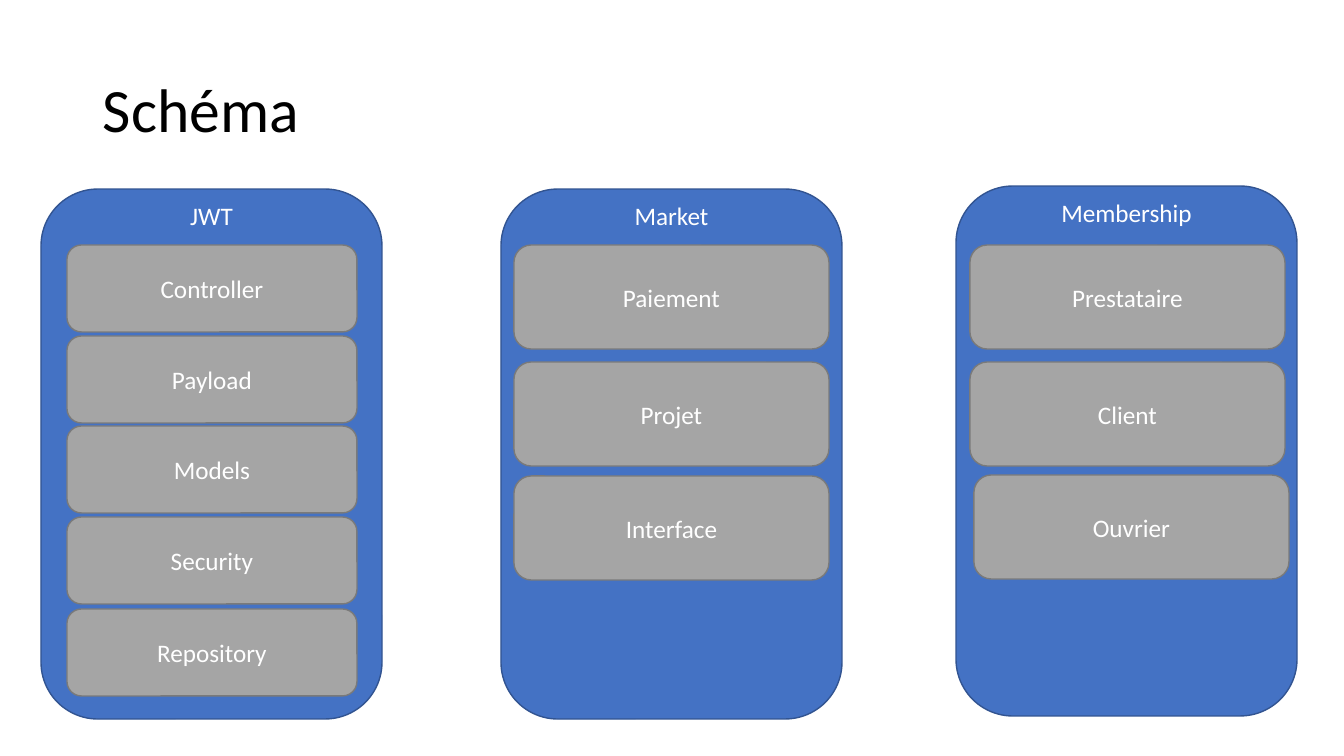
import pptx
import pptx.dml.color
import pptx.enum.shapes
import pptx.enum.text
import pptx.util

EMU_PER_PIXEL = 914400 / 100.8


class Theme:
    font = "Calibri"
    title_size = 44
    body_size = 18
    title_color = "000000"
    text_color = "FFFFFF"
    panel_colors = ("4472C4", "325491")
    card_colors = ("A5A5A5", "7A7A7A")
    line_width = 1


def pixels(value):
    return pptx.util.Emu(round(value * EMU_PER_PIXEL))


def rgb(color):
    return pptx.dml.color.RGBColor.from_string(color)


class SlideBuilder:
    def __init__(self, theme, slide):
        self.theme = theme
        self.slide = slide

    def add_text(self, shape, text, size, color, centred=True):
        frame = shape.text_frame
        frame.word_wrap = True
        frame.vertical_anchor = pptx.enum.text.MSO_ANCHOR.MIDDLE
        para = frame.paragraphs[0]
        alignment = pptx.enum.text.PP_ALIGN
        para.alignment = alignment.CENTER if centred else alignment.LEFT
        span = para.add_run()
        span.text = text
        span.font.name = self.theme.font
        span.font.size = pptx.util.Pt(size)
        span.font.color.rgb = rgb(color)
        return para

    def text_box(self, bounds, text, size, color, centred=True):
        box = self.slide.shapes.add_textbox(*map(pixels, bounds))
        return self.add_text(box, text, size, color, centred)

    def rounded_box(self, bounds, colors):
        box = self.slide.shapes.add_shape(
            pptx.enum.shapes.MSO_SHAPE.ROUNDED_RECTANGLE, *map(pixels, bounds))
        fill, line = colors
        box.shadow.inherit = False
        box.fill.solid()
        box.fill.fore_color.rgb = rgb(fill)
        box.line.color.rgb = rgb(line)
        box.line.width = pptx.util.Pt(self.theme.line_width)
        return box

    def title(self, bounds, text):
        para = self.text_box(bounds, text, self.theme.title_size,
                             self.theme.title_color, centred=False)
        para.line_spacing = 0.9

    def panel(self, left, top, heading):
        self.rounded_box((left, top, 341, 530), self.theme.panel_colors)
        self.text_box((left, top, 341, 52), heading,
                      self.theme.body_size, self.theme.text_color)

    def card(self, bounds, text):
        box = self.rounded_box(bounds, self.theme.card_colors)
        self.add_text(box, text, self.theme.body_size, self.theme.text_color)


deck = pptx.Presentation()
deck.slide_width, deck.slide_height = pixels(1344), pixels(756)
page = SlideBuilder(Theme(), deck.slides.add_slide(deck.slide_layouts[6]))

# Title
page.title((93, 40, 1159, 146), "Schéma")

# Modules: heading, panel left and top, card size, cards as (name, left, top)
modules = [
    ("JWT", 41, 189, (290, 87), [
        ("Controller", 67, 245), ("Payload", 67, 336), ("Models", 67, 426),
        ("Security", 67, 517), ("Repository", 67, 609)]),
    ("Market", 501, 189, (315, 104), [
        ("Paiement", 514, 245), ("Projet", 514, 362), ("Interface", 514, 476)]),
    ("Membership", 956, 186, (315, 104), [
        ("Prestataire", 970, 245), ("Client", 970, 362), ("Ouvrier", 974, 475)]),
]
for heading, panel_left, panel_top, card_size, cards in modules:
    page.panel(panel_left, panel_top, heading)
    for name, left, top in cards:
        page.card((left, top, *card_size), name)

deck.save("out.pptx")
